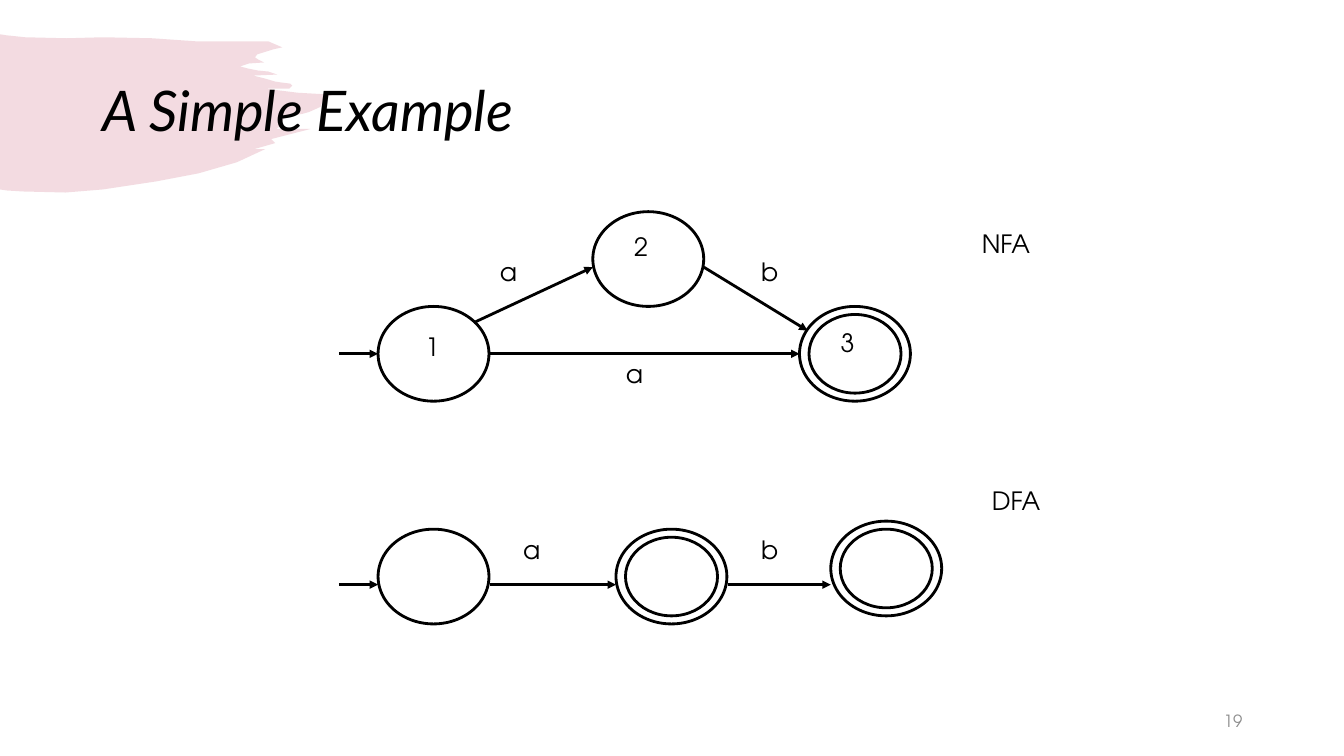
from pptx import Presentation
from pptx import util as u
from pptx.dml.color import RGBColor
from pptx.enum import shapes, text
from pptx.oxml.ns import qn
from lxml import etree

THEME = {
    "ink": "000000", "grey": "8C8C8C", "brush": "C34D6C", "alpha": 20000,
    "head": "Lato", "body": "TeX Gyre Adventor",
    "title": 40, "label": 18, "small": 12, "line": 2,
}
TITLE = "A Simple Example"
PAGE = "19"
OVAL = (1.1, 0.94)
INNER = 0.83  # inner ring of an accepting state, as a share of the outer

# left, top, accepting
STATES = [
    (3.75, 3.04, False), (5.88, 2.1, False), (7.93, 3.04, True),
    (3.75, 5.25, False), (6.11, 5.25, True), (8.24, 5.17, True),
]
# x and y of the start, x and y of the end
ARROWS = [
    (3.36, 3.51, 3.75, 3.51), (4.7, 3.2, 5.88, 2.65),
    (6.98, 2.65, 8.01, 3.28), (4.86, 3.51, 7.93, 3.51),
    (3.36, 5.8, 3.75, 5.8), (4.86, 5.8, 6.11, 5.8), (7.22, 5.8, 8.24, 5.8),
]
# text, left, top, width
LABELS = [
    ("1", 4.12, 3.24, 0.34), ("2", 6.19, 2.25, 0.34), ("3", 8.24, 3.2, 0.34),
    ("a", 4.86, 2.49, 0.37), ("b", 7.45, 2.49, 0.37), ("a", 6.11, 3.51, 0.37),
    ("a", 5.09, 5.25, 0.37), ("b", 7.45, 5.25, 0.37),
    ("NFA", 9.64, 2.22, 0.7), ("DFA", 9.74, 4.77, 0.7),
]
BRUSH = [
    (0, 0.34), (0.06, 0.35), (0.25, 0.37), (0.66, 0.38), (1.02, 0.37),
    (1.51, 0.38), (1.94, 0.41), (2.48, 0.41), (2.66, 0.41), (2.8, 0.47),
    (2.71, 0.49), (2.55, 0.54), (2.53, 0.57), (2.56, 0.59), (2.62, 0.62),
    (2.47, 0.63), (2.38, 0.66), (2.46, 0.68), (2.56, 0.7), (2.66, 0.71),
    (2.75, 0.74), (2.51, 0.75), (2.63, 0.78), (2.73, 0.81), (2.8, 0.82),
    (2.88, 0.83), (2.9, 0.85), (2.87, 0.88), (2.84, 0.88), (2.63, 0.88),
    (2.95, 0.92), (3.3, 0.94), (3.21, 0.97), (3.18, 1.06), (3.07, 1.11),
    (3, 1.13), (2.83, 1.16), (2.8, 1.2), (2.78, 1.25), (2.74, 1.28),
    (3.08, 1.28), (2.69, 1.38), (2.73, 1.42), (2.52, 1.48), (2.63, 1.48),
    (2.35, 1.61), (1.97, 1.72), (1.55, 1.8), (1.02, 1.88), (0.65, 1.91),
    (0.23, 1.9), (0.07, 1.89), (0, 1.88),
]

deck = Presentation()
deck.slide_width, deck.slide_height = u.Inches(13.33), u.Inches(7.5)
slide = deck.slides.add_slide(deck.slide_layouts[6])


def color(name):
    return RGBColor.from_string(THEME[name])


def write(words, box, size="label", font="body", ink="ink", italic=False,
          wrap=False, align=None, middle=False, space=None):
    frame = slide.shapes.add_textbox(*map(u.Inches, box)).text_frame
    frame.word_wrap = wrap
    if middle:
        frame.vertical_anchor = text.MSO_ANCHOR.MIDDLE
    para = frame.paragraphs[0]
    para.alignment, para.line_spacing = align, space
    run = para.add_run()
    run.text = words
    run.font.name, run.font.size = THEME[font], u.Pt(THEME[size])
    run.font.italic = italic
    run.font.color.rgb = color(ink)


def stroke(line):
    line.color.rgb = color("ink")
    line.width = u.Pt(THEME["line"])


def brush():
    points = [(u.Inches(x), u.Inches(y)) for x, y in BRUSH]
    pen = slide.shapes.build_freeform(*points[0])
    pen.add_line_segments(points[1:], close=True)
    shape = pen.convert_to_shape()
    shape.shadow.inherit = False
    shape.line.fill.background()
    shape.fill.solid()
    shape.fill.fore_color.rgb = color("brush")
    tint = shape.fill.fore_color._xFill[0]
    etree.SubElement(tint, qn("a:alpha"), val=str(THEME["alpha"]))


def oval(left, top, scale=1):
    """Draw an outlined oval, shrunk about its own centre."""
    wide, high = OVAL
    box = (left + wide * (1 - scale) / 2, top + high * (1 - scale) / 2,
           wide * scale, high * scale)
    shape = slide.shapes.add_shape(shapes.MSO_SHAPE.OVAL, *map(u.Inches, box))
    shape.shadow.inherit = False
    shape.fill.background()
    stroke(shape.line)


def arrow(ends):
    link = slide.shapes.add_connector(
        shapes.MSO_CONNECTOR.STRAIGHT, *map(u.Inches, ends))
    stroke(link.line)
    etree.SubElement(link.line._get_or_add_ln(), qn("a:tailEnd"), type="triangle")
    etree.SubElement(link._element.spPr, qn("a:effectLst"))


brush()
write(TITLE, (0.92, 0.4, 11.5, 1.45), size="title", font="head", italic=True,
      wrap=True, middle=True, space=0.9)
write(PAGE, (9.42, 6.95, 3, 0.4), size="small", ink="grey", wrap=True,
      align=text.PP_ALIGN.RIGHT, middle=True)
for left, top, final in STATES:
    oval(left, top)
    if final:
        oval(left, top, INNER)
for ends in ARROWS:
    arrow(ends)
for words, left, top, width in LABELS:
    write(words, (left, top, width, 0.4))

deck.save("out.pptx")
